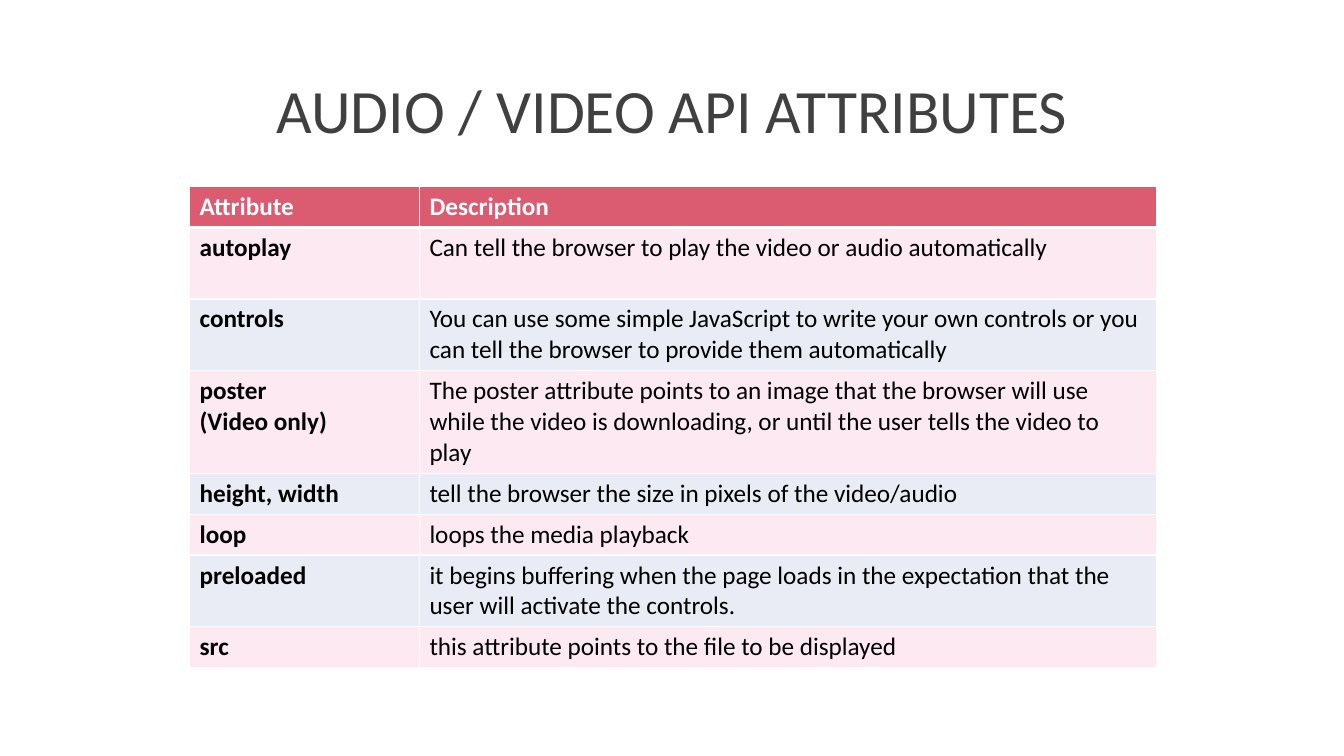
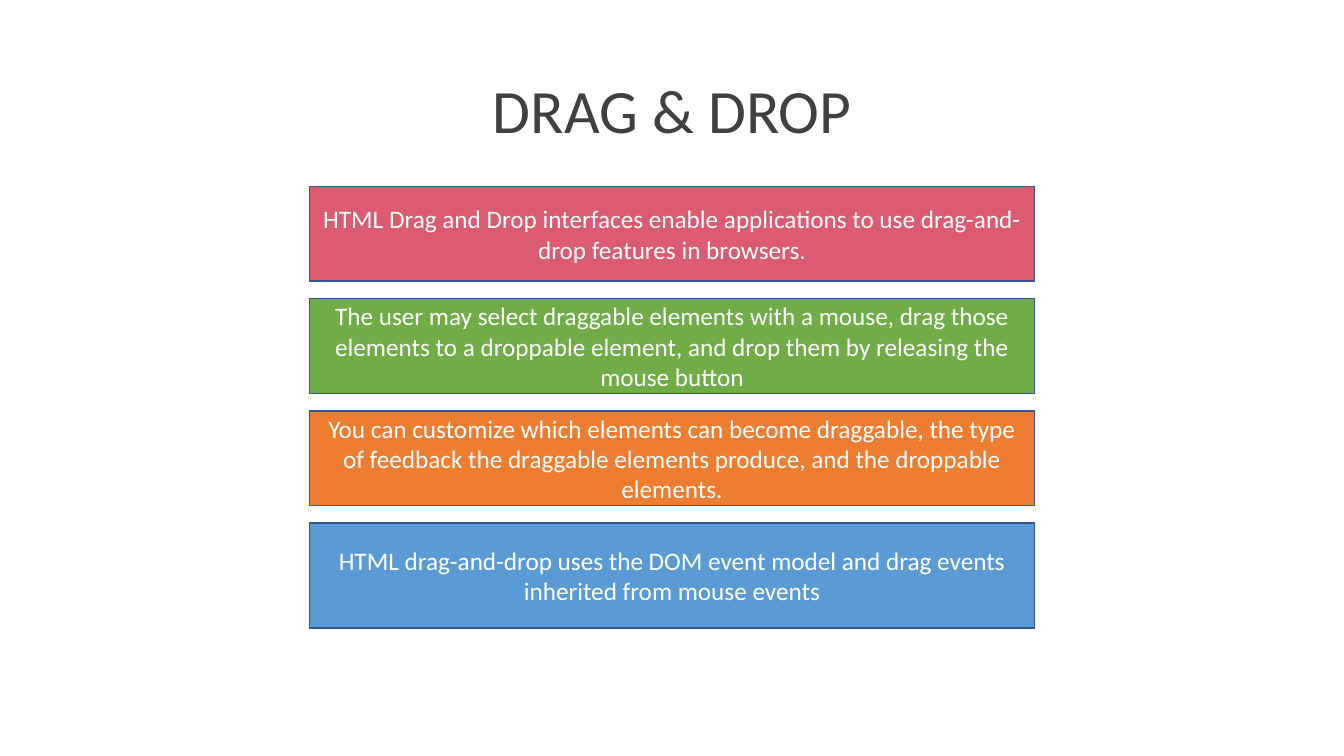
"""Builds two slides: media API attributes as a table and drag and drop as stacked boxes."""
from dataclasses import dataclass

from lxml.etree import SubElement
from pptx import Presentation
from pptx.dml.color import RGBColor
from pptx.enum.shapes import MSO_SHAPE
from pptx.enum.text import MSO_ANCHOR as ANCHOR, MSO_AUTO_SIZE as AUTO_SIZE, PP_ALIGN as ALIGN
from pptx.oxml.ns import qn
from pptx.util import Inches, Pt


@dataclass(frozen=True)
class Theme:
    """Holds the colours, font and type sizes of both slides."""
    font: str = "Calibri"
    title_size: int = 44
    body_size: int = 18
    title: str = "404040"
    ink: str = "000000"
    white: str = "FFFFFF"
    rose: str = "DB5B70"
    green: str = "70AD47"
    orange: str = "ED7D31"
    blue: str = "5B9BD5"
    outline: str = "325491"
    bands: tuple = ("FDE9F2", "E9EBF5")


THEME = Theme()
CONTENT_TOP = 1.85
LINE_COUNT_HEIGHT = {1: 0.4, 2: 0.71, 3: 1.02}

ATTRIBUTES = [
    ("autoplay", "Can tell the browser to play the video or audio automatically", 2),
    ("controls", "You can use some simple JavaScript to write your own controls or you "
     "can tell the browser to provide them automatically", 2),
    ("poster\n(Video only)", "The poster attribute points to an image that the browser will use "
     "while the video is downloading, or until the user tells the video to play", 3),
    ("height, width", "tell the browser the size in pixels of the video/audio", 1),
    ("loop", "loops the media playback", 1),
    ("preloaded", "it begins buffering when the page loads in the expectation that the "
     "user will activate the controls.", 2),
    ("src", "this attribute points to the file to be displayed", 1),
]

DRAG_FACTS = [
    ("HTML Drag and Drop interfaces enable applications to use drag-and-drop features "
     "in browsers.", THEME.rose, 0.94),
    ("The user may select draggable elements with a mouse, drag those elements to a droppable "
     "element, and drop them by releasing the mouse button", THEME.green, 0.94),
    ("You can customize which elements can become draggable, the type of feedback the draggable "
     "elements produce, and the droppable elements.", THEME.orange, 0.94),
    ("HTML drag-and-drop uses the DOM event model and drag events inherited from mouse events",
     THEME.blue, 1.04),
]


def write_text(frame, text, size=THEME.body_size, color=THEME.white, bold=False,
               align=ALIGN.LEFT, spacing=None):
    """Fills a text frame with one formatted paragraph per line of text."""
    for index, line in enumerate(text.split("\n")):
        paragraph = frame.add_paragraph() if index else frame.paragraphs[0]
        paragraph.alignment = align
        if spacing:
            paragraph.line_spacing = spacing
        run = paragraph.add_run()
        run.text = line
        run.font.name = THEME.font
        run.font.size = Pt(size)
        run.font.bold = bold
        run.font.color.rgb = RGBColor.from_string(color)


def paint(fill, color):
    """Gives a fill one solid colour."""
    fill.solid()
    fill.fore_color.rgb = RGBColor.from_string(color)


def add_titled_slide(deck, heading):
    """Adds a title-only slide with the shared title style."""
    slide = deck.slides.add_slide(deck.slide_layouts[5])
    title = slide.shapes.title
    title.left, title.top = Inches(0.92), Inches(0.4)
    title.width, title.height = Inches(11.5), Inches(1.45)
    frame = title.text_frame
    frame.vertical_anchor = ANCHOR.MIDDLE
    frame.auto_size = AUTO_SIZE.NONE
    write_text(frame, heading, size=THEME.title_size, color=THEME.title,
               align=ALIGN.CENTER, spacing=0.9)
    return slide


def set_borders(cell, top=1, bottom=1):
    """Draws white borders round a cell, with the given top and bottom widths."""
    properties = cell._tc.get_or_add_tcPr()
    for edge, width in (("lnL", 1), ("lnR", 1), ("lnT", top), ("lnB", bottom)):
        border = SubElement(properties, qn(f"a:{edge}"), w=str(Pt(width)))
        color = SubElement(border, qn("a:solidFill"))
        SubElement(color, qn("a:srgbClr"), val=THEME.white)


def add_attribute_table(slide, attributes):
    """Adds the header and one banded row per attribute."""
    rows = [("Attribute", "Description", 1), *attributes]
    column_widths = (2.28, 7.31)
    heights = [LINE_COUNT_HEIGHT[lines] for _, _, lines in rows]
    table = slide.shapes.add_table(
        len(rows), len(column_widths), Inches(1.88), Inches(CONTENT_TOP),
        Inches(sum(column_widths)), Inches(sum(heights))).table
    table.horz_banding = False
    for column, width in zip(table.columns, column_widths):
        column.width = Inches(width)
    for r, (name, description, _) in enumerate(rows):
        table.rows[r].height = Inches(heights[r])
        is_header = r == 0
        background = THEME.rose if is_header else THEME.bands[(r - 1) % 2]
        for c, text in enumerate((name, description)):
            cell = table.cell(r, c)
            set_borders(cell, top=3 if r == 1 else 1, bottom=3 if is_header else 1)
            paint(cell.fill, background)
            write_text(cell.text_frame, text, bold=is_header or c == 0,
                       color=THEME.white if is_header else THEME.ink)


def add_fact_box(slide, text, color, top, height):
    """Adds one outlined box with centred text."""
    box = slide.shapes.add_shape(MSO_SHAPE.RECTANGLE, Inches(3.07), Inches(top),
                                 Inches(7.19), Inches(height))
    box.shadow.inherit = False
    paint(box.fill, color)
    paint(box.line.fill, THEME.outline)
    box.line.width = Pt(1)
    box.text_frame.word_wrap = True
    box.text_frame.vertical_anchor = ANCHOR.MIDDLE
    write_text(box.text_frame, text, align=ALIGN.CENTER)


def add_fact_stack(slide, facts, bottom=6.23):
    """Stacks the fact boxes with equal gaps down to the bottom."""
    free = bottom - CONTENT_TOP - sum(height for _, _, height in facts)
    gap = free / (len(facts) - 1)
    top = CONTENT_TOP
    for text, color, height in facts:
        add_fact_box(slide, text, color, top, height)
        top += height + gap


def main():
    """Builds and saves the presentation."""
    deck = Presentation()
    deck.slide_width, deck.slide_height = Inches(13.33), Inches(7.5)
    add_attribute_table(add_titled_slide(deck, "AUDIO / VIDEO API ATTRIBUTES"), ATTRIBUTES)
    add_fact_stack(add_titled_slide(deck, "DRAG & DROP"), DRAG_FACTS)
    deck.save("out.pptx")


if __name__ == "__main__":
    main()
